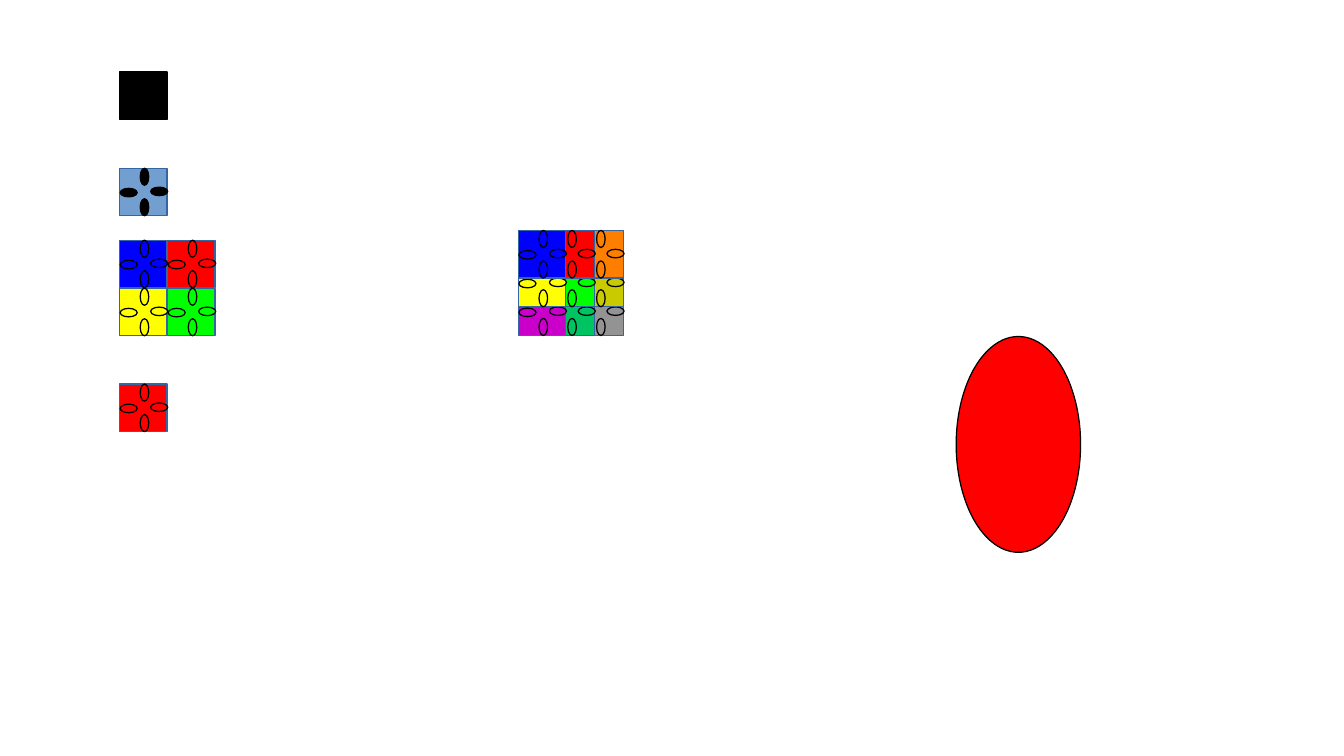
from pptx import Presentation
from pptx.dml.color import RGBColor
from pptx.enum.shapes import MSO_SHAPE
from pptx.util import Inches

RECTANGLE = MSO_SHAPE.RECTANGLE
OVAL = MSO_SHAPE.OVAL

BLACK = "000000"
EDGE = "3465A4"
TILE = 0.39
PETAL_WIDTH, PETAL_HEIGHT = 0.07, 0.14
PETALS = {
    "top": (0.17, 0, 0),
    "bottom": (0.17, 0.25, 0),
    "right": (0.29, 0.12, 90),
    "left": (0.04, 0.13, 90),
}
ALL_SIDES = tuple(PETALS)
LOWER_SIDES = ("bottom", "right", "left")

COLUMN_LEFT = 0.98
BLACK_TOP, STEEL_TOP, QUAD_TOP, RED_TOP = 0.59, 1.38, 1.97, 3.15
QUAD_STEP = 0.394
QUAD = [["0000FF", "FF0000"], ["FFFF00", "00FF00"]]

STACK_LEFT, STACK_TOP, STACK_STEP = 4.25, 1.89, 0.236
STACK = [
    ["0000FF", "FF0000", "FE7F00"],
    ["FFFF00", "00FF00", "CACA00"],
    ["CA00CA", "00C462", "939393"],
]
BIG_OVAL = (7.84, 2.76, 1.02, 1.77)


def color(value):
    return RGBColor.from_string(value)


def add_figure(page, kind, bounds, fill, line=BLACK, rotation=0):
    figure = page.shapes.add_shape(kind, *map(Inches, bounds))
    figure.shadow.inherit = False
    figure.fill.solid()
    figure.fill.fore_color.rgb = color(fill)
    figure.line.color.rgb = color(line)
    figure.line.width = 0
    figure.rotation = rotation


def add_tile(page, left, top, fill, petal_fill=None, sides=ALL_SIDES):
    add_figure(page, RECTANGLE, (left, top, TILE, TILE), fill, EDGE)
    for side in sides:
        across, down, rotation = PETALS[side]
        bounds = (left + across, top + down, PETAL_WIDTH, PETAL_HEIGHT)
        add_figure(page, OVAL, bounds, petal_fill or fill, rotation=rotation)


def add_grid(page, left, top, step, colors, last_sides):
    last = len(colors) - 1
    for row in range(last, -1, -1):
        sides = last_sides if row == last else ALL_SIDES
        for column in range(len(colors[row]) - 1, -1, -1):
            add_tile(page, left + column * step, top + row * step,
                     colors[row][column], sides=sides)


def main():
    deck = Presentation()
    deck.slide_width, deck.slide_height = Inches(11.02), Inches(6.2)
    page = deck.slides.add_slide(deck.slide_layouts[6])

    add_figure(page, RECTANGLE, (COLUMN_LEFT, BLACK_TOP, TILE, TILE), BLACK)
    add_tile(page, COLUMN_LEFT, STEEL_TOP, "729FCF", BLACK)
    add_grid(page, COLUMN_LEFT, QUAD_TOP, QUAD_STEP, QUAD, ALL_SIDES)
    add_grid(page, STACK_LEFT, STACK_TOP, STACK_STEP, STACK, LOWER_SIDES)
    add_tile(page, COLUMN_LEFT, RED_TOP, "FF0000")
    add_figure(page, OVAL, BIG_OVAL, "FF0000")

    deck.save("out.pptx")


if __name__ == "__main__":
    main()
